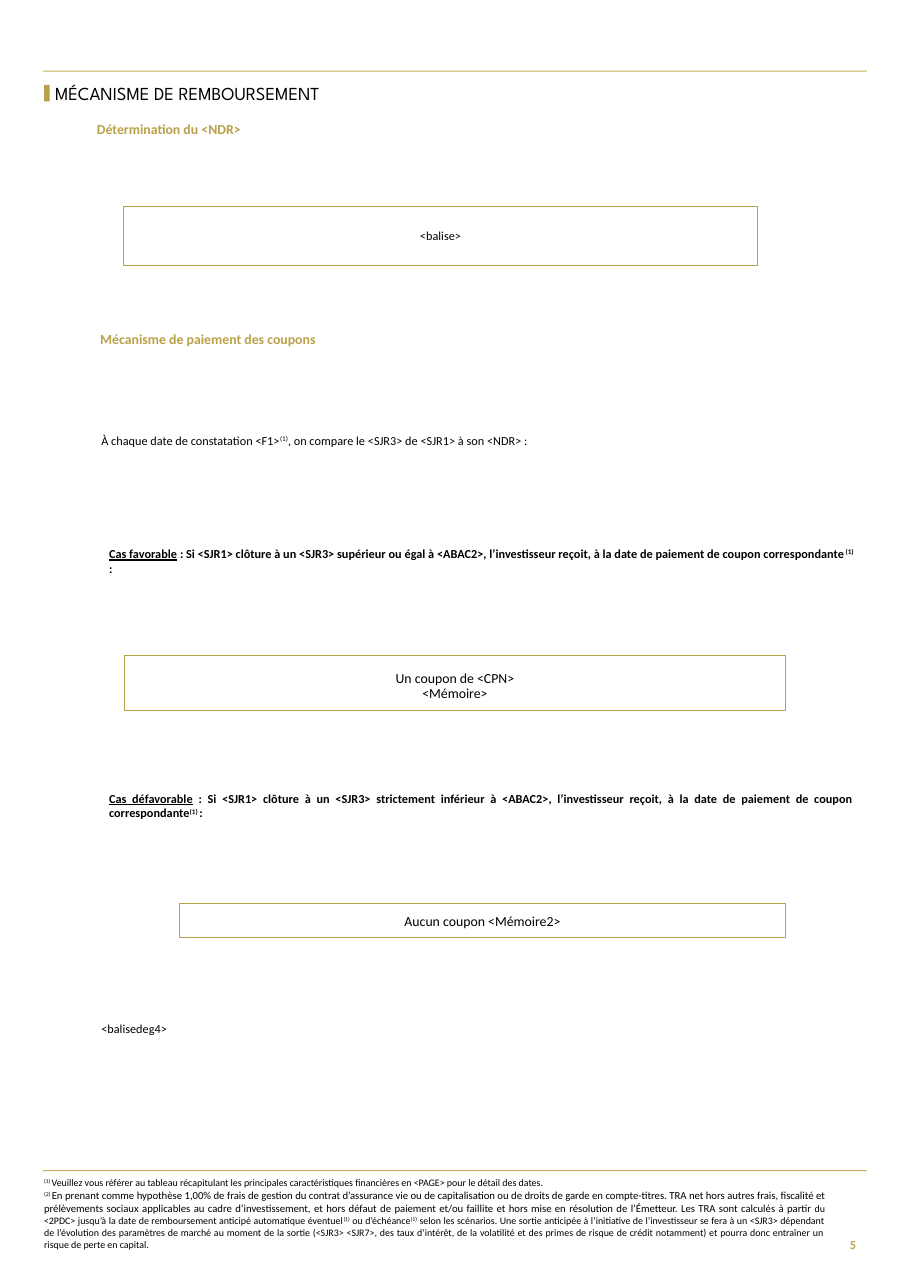
from dataclasses import dataclass
from pptx import Presentation
from pptx.dml.color import RGBColor as RGB
from pptx.enum.shapes import MSO_SHAPE as Shape
from pptx.enum.text import MSO_ANCHOR as Anchor, PP_ALIGN as Align
from pptx.util import Inches, Pt


@dataclass(frozen=True)
class Theme:
    gold: RGB = RGB(0xB9, 0xA0, 0x49)
    rule: RGB = RGB(0xC5, 0xAF, 0x5C)
    black: RGB = RGB(0, 0, 0)
    white: RGB = RGB(255, 255, 255)
    body: str = "Calibri"
    head: str = "League Spartan"
    title: float = 12
    large: float = 9
    text: float = 8
    note: float = 6.5
    note_big: float = 7


T = Theme()
REF = ("(1)", {"sup": True})


def add_run(para, text, size=T.text, font=T.body, color=T.black,
            bold=False, under=False, sup=False):
    run = para.add_run()
    run.text = text
    face = run.font
    face.size, face.name, face.bold = Pt(size), font, bold
    face.color.rgb = color
    if under:
        face.underline = True
    if sup:
        run._r.get_or_add_rPr().set("baseline", "30000")


def fill_text(frame, paras, align=Align.LEFT, anchor=Anchor.TOP,
              pad=(0, 0, 0, 0), space=None, **style):
    """Each paragraph is a list of (text, style changes) runs."""
    frame.word_wrap = True
    frame.vertical_anchor = anchor
    (frame.margin_left, frame.margin_top,
     frame.margin_right, frame.margin_bottom) = map(Inches, pad)
    for i, runs in enumerate(paras):
        para = frame.add_paragraph() if i else frame.paragraphs[0]
        para.alignment = align
        if space:
            para.line_spacing = space
        for text, change in runs:
            add_run(para, text, **{**style, **change})


def add_text(slide, box, paras, **style):
    area = slide.shapes.add_textbox(*map(Inches, box))
    fill_text(area.text_frame, paras, **style)


def add_bar(slide, box, color):
    bar = slide.shapes.add_shape(Shape.RECTANGLE, *map(Inches, box))
    bar.shadow.inherit = False
    bar.fill.solid()
    bar.fill.fore_color.rgb = color
    bar.line.fill.background()
    return bar


def add_frame(slide, box, lines, width=0.75, **style):
    frame = add_bar(slide, box, T.white)
    frame.line.color.rgb = T.gold
    frame.line.width = Pt(width)
    fill_text(frame.text_frame, [[(line, {})] for line in lines],
              align=Align.CENTER, anchor=Anchor.MIDDLE, **style)


# Page title with its gold marker
def add_title(slide, x, y, text):
    add_bar(slide, (x, y + 0.04, 0.05, 0.15), T.gold)
    add_text(slide, (x + 0.1, y, 4.21, 0.25), [[(text, {})]],
             anchor=Anchor.MIDDLE, space=0.9, size=T.title, font=T.head)


# Gold section heading
def add_head(slide, x, y, text):
    add_text(slide, (x, y, 6.6, 0.18), [[(text, {})]],
             size=T.large, color=T.gold, bold=True)


# Underlined case name followed by its condition
def add_case(slide, x, y, name, rule):
    tail = ", l’investisseur reçoit, à la date de paiement de coupon correspondante"
    runs = [(name, {"under": True}),
            (f" : Si <SJR1> clôture à un <SJR3> {rule} à <ABAC2>{tail}", {}),
            ("(1) ", {"sup": True}), (":", {})]
    add_text(slide, (x, y, 6.76, 0.27), [runs], align=Align.JUSTIFY, bold=True)


# Rules, notes and page number
def add_edges(slide, x, width):
    for y in (0.64, 10.62):
        add_bar(slide, (x, y, width, 0.01), T.rule)
    first = [("(1) ", {"sup": True}),
             ("Veuillez vous référer au tableau récapitulant les principales "
              "caractéristiques financières en <PAGE> pour le détail des dates.", {})]
    second = [
        ("(2) ", {"sup": True}),
        ("En prenant comme hypothèse 1,00% de frais de gestion du contrat "
         "d’assurance vie ou de capitalisation ou de droits de garde en "
         "compte-titres. TRA net hors autres frais, fiscalité et prélèvements "
         "sociaux applicables au cadre d’investissement, et hors défaut de "
         "paiement et/ou faillite et hors mise en résolution de l’Émetteur. "
         "Les TRA sont calculés à partir ", {"size": T.note_big}),
        ("du <2PDC> jusqu’à la date de remboursement anticipé automatique "
         "éventuel", {}), REF,
        (" ou d’échéance", {}), REF,
        (" selon les scénarios. Une sortie anticipée à l’initiative de "
         "l’investisseur se fera à un <SJR3> dépendant de l’évolution des "
         "paramètres de marché au moment de la sortie (<SJR3> <SJR7>, des taux "
         "d’intérêt, de la volatilité et des primes de risque de crédit "
         "notamment) et pourra donc entraîner un risque de perte en capital.", {})]
    add_text(slide, (x + 0.01, 10.68, 7.09, 0.68), [first, second],
             align=Align.JUSTIFY, size=T.note)
    add_text(slide, (x + width - 0.39, 11.09, 0.39, 0.42), [[("5", {})]],
             align=Align.RIGHT, anchor=Anchor.MIDDLE, pad=(0.1, 0.05, 0.1, 0.05),
             color=T.gold, bold=True)


# How the reference level is set
def add_level(slide, x, y):
    add_head(slide, x, y, "Détermination du <NDR>")
    add_frame(slide, (x + 0.24, y + 0.77, 5.76, 0.54), ["<balise>"],
              width=0.5, pad=(0.12, 0.2, 0.12, 0.2))


# How coupons are paid
def add_coupons(slide, x, y):
    add_head(slide, x, y, "Mécanisme de paiement des coupons")
    intro = [("À chaque date de constatation <F1>", {}), REF,
             (", on compare le <SJR3> de <SJR1> à son <NDR> :", {})]
    add_text(slide, (x + 0.01, y + 0.93, 6.57, 0.13), [intro], align=Align.JUSTIFY)
    add_case(slide, x + 0.08, y + 1.96, "Cas favorable", "supérieur ou égal")
    add_frame(slide, (x + 0.22, y + 2.95, 6, 0.5),
              ["Un coupon de <CPN>", "<Mémoire>"], size=T.large, space=0.9,
              pad=(0.12, 0.15, 0.12, 0.08))
    add_case(slide, x + 0.08, y + 4.18, "Cas défavorable", "strictement inférieur")
    add_frame(slide, (x + 0.72, y + 5.2, 5.5, 0.31), ["Aucun coupon <Mémoire2>"],
              size=T.large, pad=(0.12, 0.08, 0.12, 0.08))
    add_text(slide, (x + 0.01, y + 6.27, 6.76, 0.13), [[("<balisedeg4>", {})]],
             align=Align.JUSTIFY)


def main():
    deck = Presentation()
    deck.slide_width, deck.slide_height = Inches(8.27), Inches(11.69)
    slide = deck.slides.add_slide(deck.slide_layouts[6])
    add_edges(slide, 0.39, 7.48)
    add_title(slide, 0.4, 0.73, "MÉCANISME DE REMBOURSEMENT")
    add_level(slide, 0.88, 1.1)
    add_coupons(slide, 0.91, 3)
    deck.save("out.pptx")


if __name__ == "__main__":
    main()
